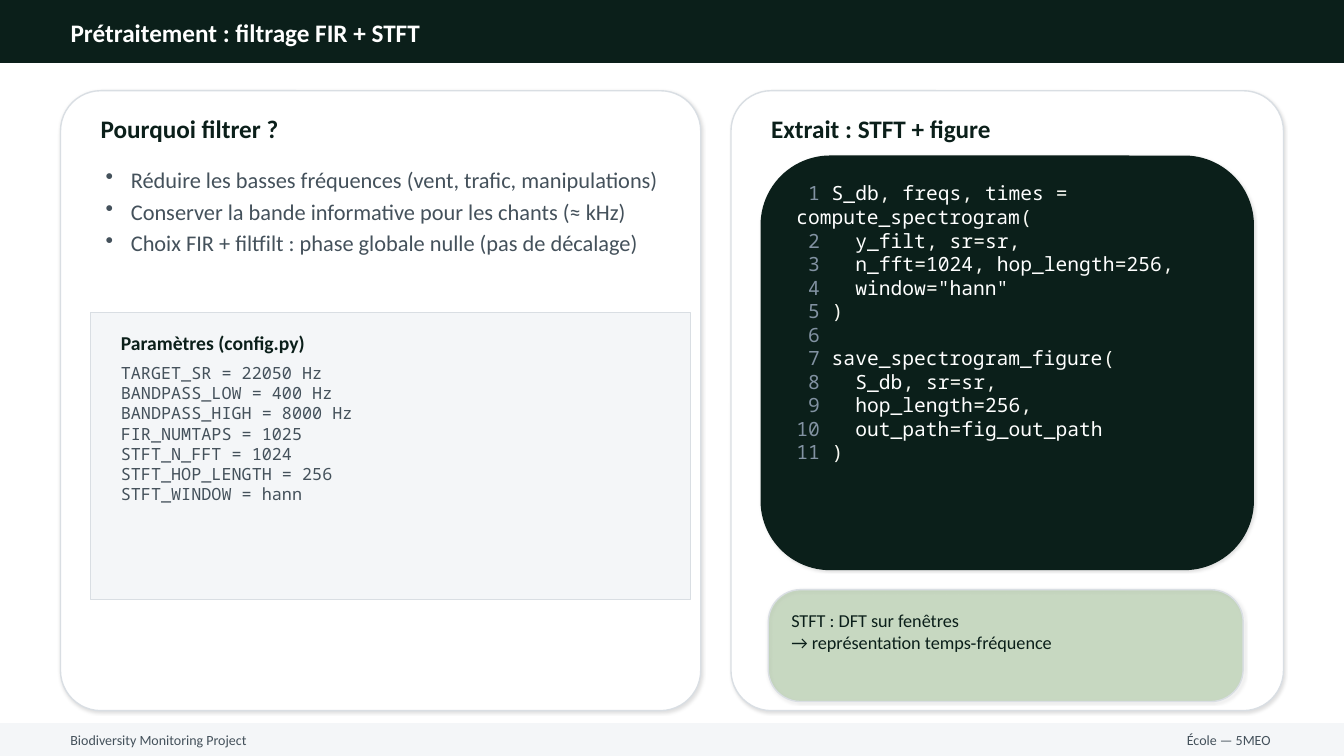
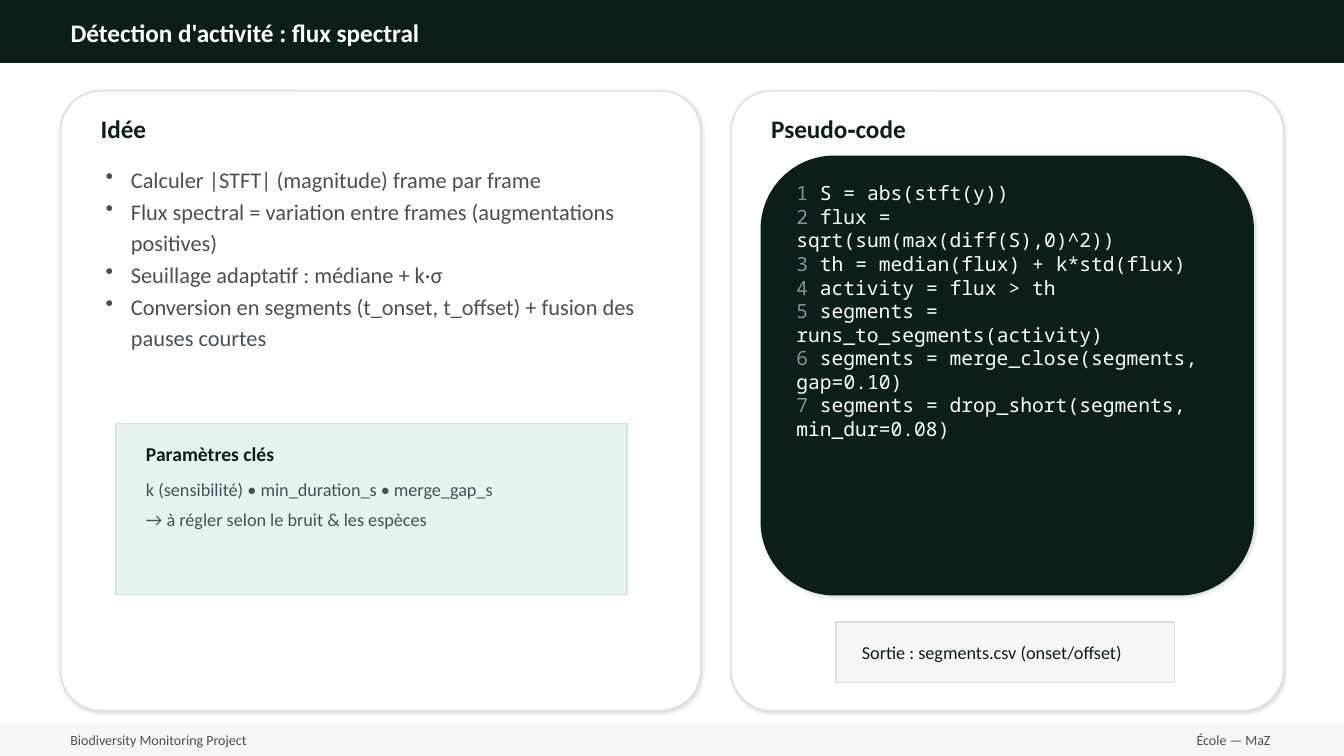
import dataclasses
import itertools

import lxml.etree
import pptx
import pptx.dml.color
import pptx.enum.shapes
import pptx.enum.text
import pptx.oxml.ns
import pptx.util

Inches = pptx.util.Inches
Pt = pptx.util.Pt
qn = pptx.oxml.ns.qn
ALIGN = pptx.enum.text.PP_ALIGN
ANCHOR = pptx.enum.text.MSO_ANCHOR
SHAPE = pptx.enum.shapes.MSO_SHAPE
TITLE_ONLY = 5
PUNCTUATION = "=,()+*^>"


@dataclasses.dataclass(frozen=True)
class Theme:
    dark: str = "0B1F1A"
    white: str = "FFFFFF"
    body: str = "44515B"
    pale: str = "F4F6F8"
    border: str = "D9DEE3"
    mint: str = "E6F4EF"
    mint_border: str = "CBE7DD"
    green: str = "3B7D23"
    line_number: str = "8292A2"
    punctuation: str = "F8F8F2"
    sans: str = "Calibri"
    mono: str = "Noto Sans Mono"
    title_size: int = 18
    bullet_size: int = 16
    subtitle_size: int = 14
    code_size: int = 14
    note_size: int = 13
    config_size: int = 12
    footer_size: int = 10


def rgb(color):
    return pptx.dml.color.RGBColor.from_string(color)


def inches(box):
    return [Inches(length) for length in box]


class Deck:
    """Holds the style, the presentation and the slide being filled."""

    def __init__(self, theme):
        self.theme = theme
        self.presentation = pptx.Presentation()
        self.presentation.slide_width = Inches(13.33)
        self.presentation.slide_height = Inches(7.5)
        self.slide = None

    def start_slide(self, title, course):
        """Add a slide with its title band and footer."""
        theme = self.theme
        layout = self.presentation.slide_layouts[TITLE_ONLY]
        self.slide = self.presentation.slides.add_slide(layout)
        heading = self.slide.shapes.title
        band = self.block((0, 0, 13.33, 0.62), theme.dark, theme.dark)
        heading.element.addprevious(band.element)
        heading.left, heading.top, heading.width, heading.height = inches(
            (0.6, 0.12, 12.2, 0.4))
        self.set_text(heading, [title], theme.title_size, theme.white,
                      bold=True, anchor=ANCHOR.MIDDLE)

        self.block((0, 7.18, 13.33, 0.32), theme.pale, theme.pale)
        self.text((0.6, 7.22, 8.5, 0.25), ["Biodiversity Monitoring Project"],
                  theme.footer_size, theme.body, anchor=ANCHOR.MIDDLE)
        self.text((9.2, 7.22, 3.5, 0.25), [course], theme.footer_size,
                  theme.body, anchor=ANCHOR.MIDDLE, align=ALIGN.RIGHT)

    def block(self, box, fill, line, kind=SHAPE.RECTANGLE):
        shape = self.slide.shapes.add_shape(kind, *inches(box))
        shape.shadow.inherit = False
        shape.fill.solid()
        shape.fill.fore_color.rgb = rgb(fill)
        shape.line.color.rgb = rgb(line)
        shape.line.width = Pt(1)
        return shape

    def rounded(self, box, fill, line, radius):
        """Add a rounded block with a soft shadow; radius is in inches."""
        shape = self.block(box, fill, line, SHAPE.ROUNDED_RECTANGLE)
        shape.adjustments[0] = radius / min(box[2:])
        effects = shape.element.spPr.find(qn("a:effectLst"))
        shadow = lxml.etree.SubElement(
            effects, qn("a:outerShdw"), blurRad=str(Pt(2)), dist=str(Pt(1)),
            dir="2700000", algn="tl", rotWithShape="0")
        color = lxml.etree.SubElement(shadow, qn("a:srgbClr"), val="000000")
        lxml.etree.SubElement(color, qn("a:alpha"), val="12000")
        return shape

    def set_text(self, shape, lines, size, color, font=None, bold=False,
                 anchor=ANCHOR.TOP, align=ALIGN.LEFT):
        """Fill a shape with one paragraph per line, all in one style."""
        frame = shape.text_frame
        frame.text = "\n".join(lines)
        frame.word_wrap = True
        frame.auto_size = pptx.enum.text.MSO_AUTO_SIZE.NONE
        frame.vertical_anchor = anchor
        for paragraph in frame.paragraphs:
            paragraph.alignment = align
            for run in paragraph.runs:
                self.style(run, size, color, font, bold)
        return frame

    def style(self, run, size, color, font=None, bold=False):
        run.font.name = font or self.theme.sans
        run.font.size = Pt(size)
        run.font.bold = bold
        run.font.color.rgb = rgb(color)

    def text(self, box, lines, size, color, **options):
        holder = self.slide.shapes.add_textbox(*inches(box))
        return self.set_text(holder, lines, size, color, **options)

    def card(self, left, width, heading):
        theme = self.theme
        self.rounded((left, 0.9, width, 6.15), theme.white, theme.border, 0.4)
        self.text((left + 0.3, 1.1, width - 0.55, 0.35), [heading],
                  theme.title_size, theme.dark, bold=True,
                  anchor=ANCHOR.MIDDLE)

    def cards(self, left_heading, right_heading):
        self.card(0.6, 6.35, left_heading)
        self.card(7.25, 5.48, right_heading)

    def bullets(self, height, lines):
        frame = self.text((0.95, 1.55, 5.9, height), lines,
                          self.theme.bullet_size, self.theme.body)
        for paragraph in frame.paragraphs:
            paragraph.line_spacing = 1.18
            properties = paragraph._p.get_or_add_pPr()
            properties.set("marL", str(Inches(0.25)))
            properties.set("indent", str(Inches(-0.25)))
            lxml.etree.SubElement(properties, qn("a:buChar"), char="•")

    def panel(self, box, heading, fill, line):
        """Add a flat parameter panel with its heading."""
        left, top, width, _ = box
        self.block(box, fill, line)
        self.text((left + 0.2, top + 0.15, width - 0.3, 0.3), [heading],
                  self.theme.subtitle_size, self.theme.dark, bold=True,
                  anchor=ANCHOR.MIDDLE)

    def code(self, height, lines):
        """Add a dark listing with line numbers and dimmed punctuation."""
        theme = self.theme
        self.rounded((7.55, 1.55, 4.88, height), theme.dark, theme.dark,
                     height / 6)
        digits = len(str(len(lines)))
        numbers = [f"{n:>{digits}} " for n in range(1, len(lines) + 1)]
        frame = self.text((7.8, 1.75, 4.37, height - 0.35), numbers,
                          theme.code_size, theme.line_number, font=theme.mono)
        for paragraph, line in zip(frame.paragraphs, lines):
            for is_mark, token in itertools.groupby(
                    line, lambda character: character in PUNCTUATION):
                run = paragraph.add_run()
                run.text = "".join(token)
                color = theme.punctuation if is_mark else theme.white
                self.style(run, theme.code_size, color, theme.mono)

    def callout(self, box, lines):
        """Add a translucent green note."""
        theme = self.theme
        note = self.rounded(box, theme.green, theme.border, 0.32)
        color = note.element.spPr.find(qn("a:solidFill"))[0]
        lxml.etree.SubElement(color, qn("a:alpha"), val="25000")
        self.text((box[0] + 0.13, box[1] + 0.15, 4.5, 0.8), lines,
                  theme.note_size, theme.dark)


def add_preprocessing(deck):
    theme = deck.theme
    deck.start_slide("Prétraitement : filtrage FIR + STFT", "École — 5MEO")
    deck.cards("Pourquoi filtrer ?", "Extrait : STFT + figure")
    deck.bullets(0.99, [
        "Réduire les basses fréquences (vent, trafic, manipulations)",
        "Conserver la bande informative pour les chants (≈ kHz)",
        "Choix FIR + filtfilt : phase globale nulle (pas de décalage)",
    ])
    deck.panel((0.9, 3.1, 5.95, 2.85), "Paramètres (config.py)",
               theme.pale, theme.border)
    deck.text((1.1, 3.55, 5.6, 2.2), [
        "TARGET_SR = 22050 Hz",
        "BANDPASS_LOW = 400 Hz",
        "BANDPASS_HIGH = 8000 Hz",
        "FIR_NUMTAPS = 1025",
        "STFT_N_FFT = 1024",
        "STFT_HOP_LENGTH = 256",
        "STFT_WINDOW = hann",
    ], theme.config_size, theme.body, font=theme.mono)
    deck.code(4.1, [
        "S_db, freqs, times = compute_spectrogram(",
        "  y_filt, sr=sr,",
        "  n_fft=1024, hop_length=256,",
        '  window="hann"',
        ")",
        "",
        "save_spectrogram_figure(",
        "  S_db, sr=sr,",
        "  hop_length=256,",
        "  out_path=fig_out_path",
        ")",
    ])
    deck.callout((7.62, 5.85, 4.71, 1.11), [
        "STFT : DFT sur fenêtres",
        "→ représentation temps‑fréquence",
    ])


def add_detection(deck):
    theme = deck.theme
    deck.start_slide("Détection d'activité : flux spectral", "École — MaZ")
    deck.cards("Idée", "Pseudo‑code")
    deck.bullets(1.25, [
        "Calculer |STFT| (magnitude) frame par frame",
        "Flux spectral = variation entre frames (augmentations positives)",
        "Seuillage adaptatif : médiane + k·σ",
        "Conversion en segments (t_onset, t_offset) + fusion des pauses "
        "courtes",
    ])
    deck.panel((1.15, 4.2, 5.07, 1.7), "Paramètres clés",
               theme.mint, theme.mint_border)
    parameter_notes = ["k (sensibilité) • min_duration_s • merge_gap_s",
                       "→ à régler selon le bruit & les espèces"]
    for row, note in enumerate(parameter_notes):
        deck.text((1.35, 4.7 + 0.3 * row, 4.77, 0.3), [note],
                  theme.note_size, theme.body, anchor=ANCHOR.MIDDLE)
    deck.code(4.35, [
        "S = abs(stft(y))",
        "flux = sqrt(sum(max(diff(S),0)^2))",
        "th = median(flux) + k*std(flux)",
        "activity = flux > th",
        "segments = runs_to_segments(activity)",
        "segments = merge_close(segments, gap=0.10)",
        "segments = drop_short(segments, min_dur=0.08)",
    ])
    deck.block((8.29, 6.17, 3.36, 0.6), theme.pale, theme.border)
    deck.text((8.45, 6.17, 4.5, 0.6), ["Sortie : segments.csv (onset/offset)"],
              theme.note_size, theme.dark, anchor=ANCHOR.MIDDLE)


def main():
    deck = Deck(Theme())
    add_preprocessing(deck)
    add_detection(deck)
    deck.presentation.save("out.pptx")


if __name__ == "__main__":
    main()
